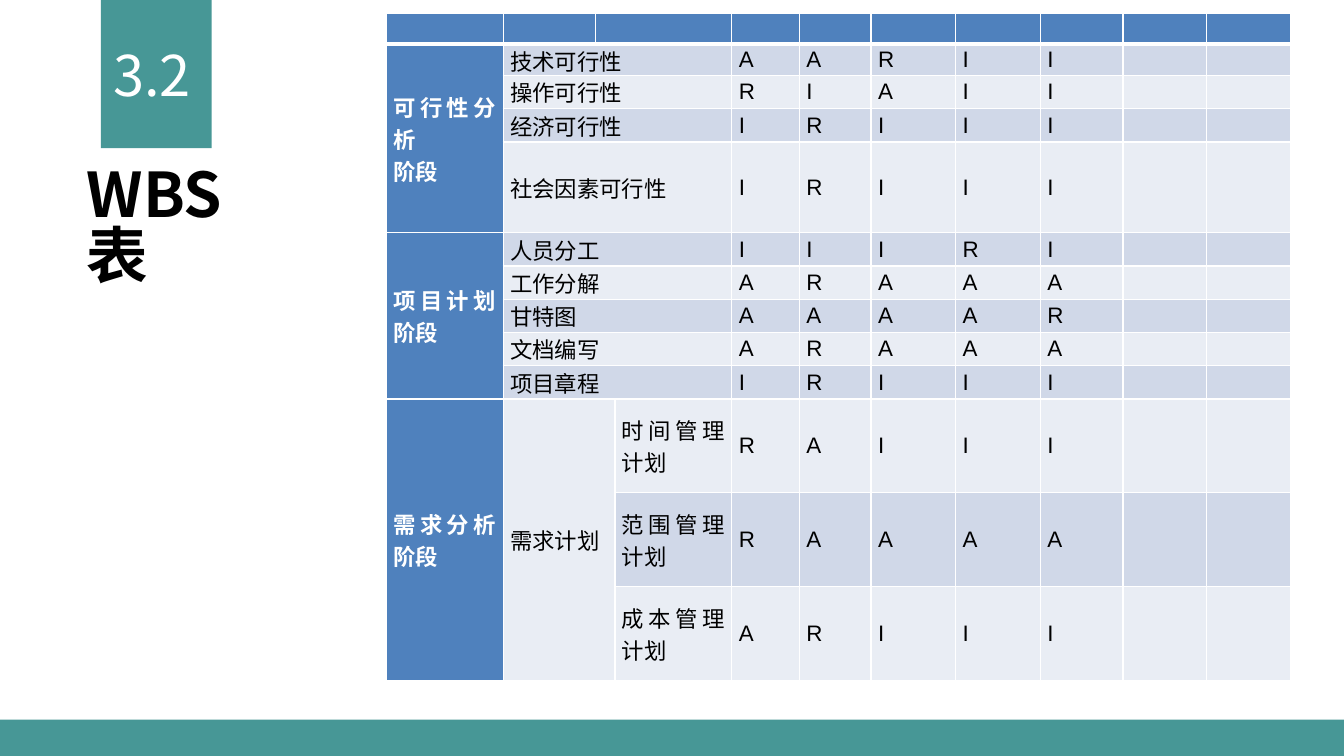
from lxml import etree
from pptx import Presentation
from pptx.dml.color import RGBColor
from pptx.enum.shapes import MSO_SHAPE
from pptx.enum.text import MSO_ANCHOR, MSO_AUTO_SIZE, PP_ALIGN
from pptx.oxml.ns import qn
from pptx.util import Inches, Pt

RECTANGLE = MSO_SHAPE.RECTANGLE
TOP, MIDDLE = MSO_ANCHOR.TOP, MSO_ANCHOR.MIDDLE
GROW = MSO_AUTO_SIZE.SHAPE_TO_FIT_TEXT
LEFT, CENTER, JUSTIFY = PP_ALIGN.LEFT, PP_ALIGN.CENTER, PP_ALIGN.JUSTIFY

COLORS = {
    "teal": "479796",
    "header": "4F81BD",
    "band_dark": "D0D8E8",
    "band_light": "E9EDF4",
    "white": "FFFFFF",
    "black": "000000",
}
CJK_FONT = "Noto Sans CJK SC"
NUMBER_FONT = "Noto Sans CJK KR"
TABLE_FONT = "Arial"
TABLE_SIZE = 16

COLUMN_WIDTHS = [1.16, 0.92, 0.19, 1.16, 0.67, 0.71, 0.84, 0.84, 0.82, 0.83, 0.83]
ROW_HEIGHTS = [0.31, 0.31, 0.33, 0.33, 0.9] + [0.33] * 5 + [0.93] * 3
PHASE_COLUMN, TASK_COLUMN, SUBTASK_COLUMN, ROLE_COLUMN = 0, 1, 3, 4
PLAN = "需求计划"
PHASES = [
    ("可行性分析\n阶段", [
        ("技术可行性", "AARII"),
        ("操作可行性", "RIAII"),
        ("经济可行性", "IRIII"),
        ("社会因素可行性", "IRIII"),
    ]),
    ("项目计划阶段", [
        ("人员分工", "IIIRI"),
        ("工作分解", "ARAAA"),
        ("甘特图", "AAAAR"),
        ("文档编写", "ARAAA"),
        ("项目章程", "IRIII"),
    ]),
    ("需求分析阶段", [
        ("时间管理计划", "RAIII"),
        ("范围管理计划", "RAAAA"),
        ("成本管理计划", "ARIII"),
    ]),
]


def rgb(name):
    """Return the named colour."""
    return RGBColor.from_string(COLORS[name])


def write(frame, text, size=TABLE_SIZE, font=TABLE_FONT, east_asian=CJK_FONT,
          color="black", bold=False, align=JUSTIFY, spacing=None):
    """Fill a text frame with one formatted paragraph per line of text."""
    frame.text = text
    frame.word_wrap = True
    for paragraph in frame.paragraphs:
        paragraph.alignment = align
        if spacing:
            paragraph.line_spacing = spacing
        for run in paragraph.runs:
            run.font.size = Pt(size)
            run.font.name = font
            run.font.bold = bold
            run.font.color.rgb = rgb(color)
            properties = run.font._element
            latin = properties.find(qn("a:latin"))
            latin.addnext(etree.Element(qn("a:ea"), typeface=east_asian))


def add_block(slide, left, top, width, height):
    """Add a plain teal rectangle."""
    block = slide.shapes.add_shape(
        RECTANGLE, Inches(left), Inches(top), Inches(width), Inches(height))
    block.shadow.inherit = False
    block.fill.solid()
    block.fill.fore_color.rgb = rgb("teal")
    block.line.fill.background()


def add_section_number(slide):
    """Add the section number over the tab at the top."""
    number = slide.shapes.add_textbox(
        Inches(0.96), Inches(0.35), Inches(1.1), Inches(0.77))
    write(number.text_frame, "3.2", size=40, font=NUMBER_FONT,
          east_asian=NUMBER_FONT, color="white", align=CENTER)


def place_title(slide):
    """Move the title placeholder below the tab and fill it."""
    title = slide.shapes.title
    title.left, title.top = Inches(0.76), Inches(1.62)
    title.width, title.height = Inches(1.81), Inches(1.57)
    frame = title.text_frame
    write(frame, "WBS表", size=44, font=CJK_FONT, bold=True, align=LEFT,
          spacing=0.83)
    frame.vertical_anchor = TOP
    frame.auto_size = GROW


def set_borders(cell, row):
    """Draw white cell borders, thicker under the header row."""
    widths = {"L": 1, "R": 1, "T": 3 if row == 1 else 1, "B": 3 if row == 0 else 1}
    properties = cell._tc.get_or_add_tcPr()
    for side, width in widths.items():
        line = etree.SubElement(properties, qn(f"a:ln{side}"), w=str(Pt(width)))
        fill = etree.SubElement(line, qn("a:solidFill"))
        etree.SubElement(fill, qn("a:srgbClr"), val=COLORS["white"])


def format_cell(cell, row, column):
    """Give a cell its borders, fill, margins and empty-text size."""
    set_borders(cell, row)
    band = "band_dark" if row % 2 else "band_light"
    cell.fill.solid()
    cell.fill.fore_color.rgb = rgb("header" if row == 0 or column == PHASE_COLUMN else band)
    cell.vertical_anchor = MIDDLE
    cell.margin_left = cell.margin_right = Inches(0.07)
    cell.margin_top = cell.margin_bottom = 0
    paragraph = cell.text_frame.paragraphs[0]
    etree.SubElement(paragraph._p, qn("a:endParaRPr"), sz=str(TABLE_SIZE * 100))


def fill_phase(table, first_row, phase, tasks):
    """Write one phase with its tasks and role letters."""
    last_row = first_row + len(tasks) - 1
    phase_cell = table.cell(first_row, PHASE_COLUMN)
    phase_cell.merge(table.cell(last_row, PHASE_COLUMN))
    write(phase_cell.text_frame, phase, color="white", bold=True)
    has_plan = phase == PHASES[-1][0]
    if has_plan:
        plan_cell = table.cell(first_row, TASK_COLUMN)
        plan_cell.merge(table.cell(last_row, SUBTASK_COLUMN - 1))
        write(plan_cell.text_frame, PLAN)
    for row, (task, roles) in enumerate(tasks, first_row):
        task_cell = table.cell(row, SUBTASK_COLUMN if has_plan else TASK_COLUMN)
        if not has_plan:
            task_cell.merge(table.cell(row, SUBTASK_COLUMN))
        write(task_cell.text_frame, task)
        for column, role in enumerate(roles, ROLE_COLUMN):
            write(table.cell(row, column).text_frame, role)


def add_wbs_table(slide):
    """Add the work breakdown table with its responsibility letters."""
    table = slide.shapes.add_table(
        len(ROW_HEIGHTS), len(COLUMN_WIDTHS), Inches(3.83), Inches(0.13),
        Inches(sum(COLUMN_WIDTHS)), Inches(sum(ROW_HEIGHTS))).table
    for column, width in zip(table.columns, COLUMN_WIDTHS):
        column.width = Inches(width)
    for table_row, height in zip(table.rows, ROW_HEIGHTS):
        table_row.height = Inches(height)
    for row in range(len(ROW_HEIGHTS)):
        for column in range(len(COLUMN_WIDTHS)):
            format_cell(table.cell(row, column), row, column)
    table.cell(0, SUBTASK_COLUMN - 1).merge(table.cell(0, SUBTASK_COLUMN))
    first_row = 1
    for phase, tasks in PHASES:
        fill_phase(table, first_row, phase, tasks)
        first_row += len(tasks)


def main():
    """Build the WBS slide and save it."""
    presentation = Presentation()
    presentation.slide_width = Inches(13.33)
    presentation.slide_height = Inches(7.5)
    slide = presentation.slides.add_slide(presentation.slide_layouts[5])
    add_block(slide, 1, 0, 1.1, 1.47)
    add_section_number(slide)
    place_title(slide)
    add_block(slide, 0, 7.14, 13.33, 0.36)
    add_wbs_table(slide)
    presentation.save("out.pptx")


if __name__ == "__main__":
    main()
